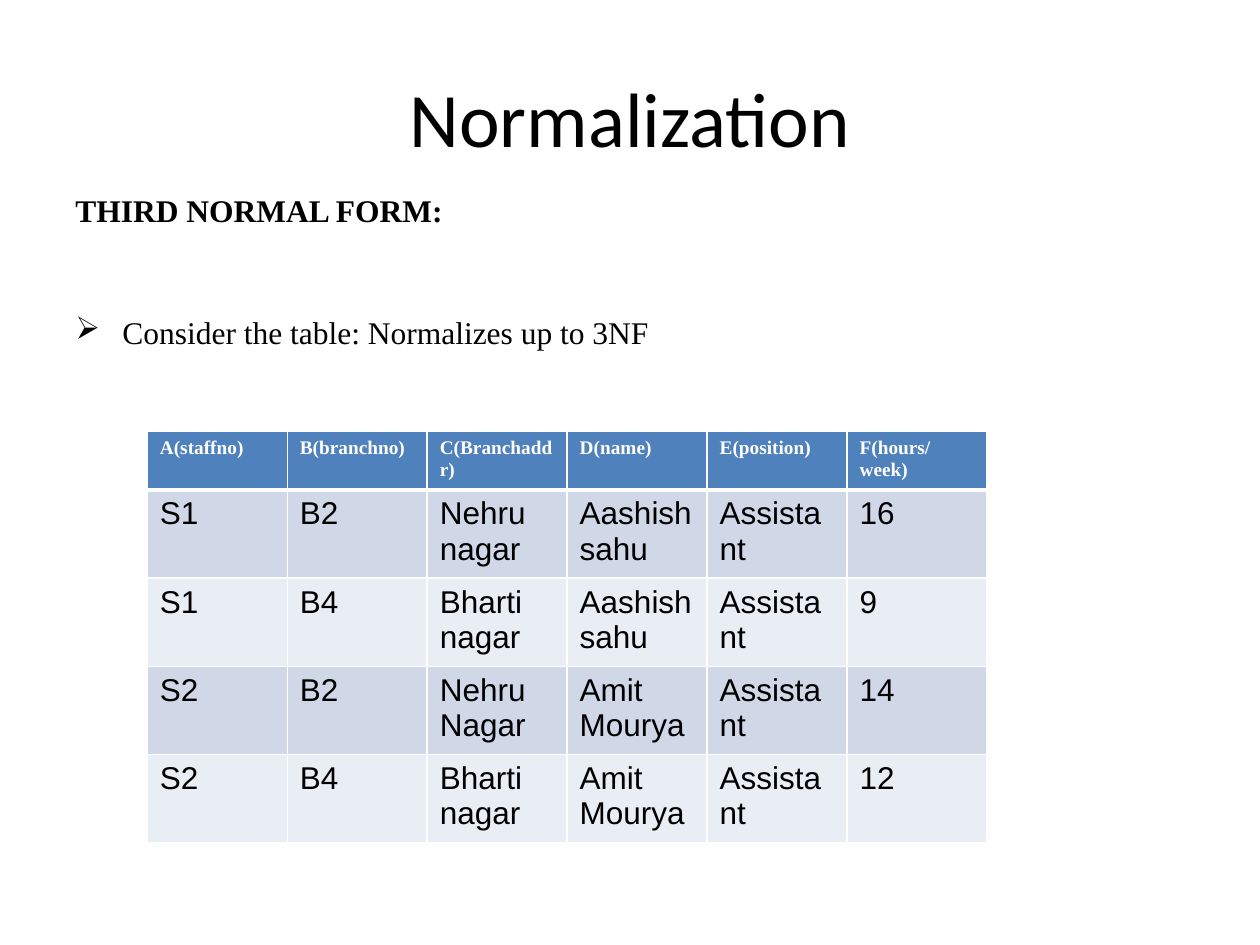
import pptx
import pptx.dml.color
import pptx.enum.text
import pptx.oxml
import pptx.oxml.ns
import pptx.util

Cm = pptx.util.Cm
Pt = pptx.util.Pt
COLORS = {
    "text": "000000",
    "white": "FFFFFF",
    "header": "4F81BD",
    "odd_row": "D0D8E8",
    "even_row": "E9EDF4",
}
ROWS = [
    ["A(staffno)", "B(branchno)", "C(Branchaddr)", "D(name)", "E(position)", "F(hours/week)"],
    ["S1", "B2", "Nehru nagar", "Aashish sahu", "Assistant", "16"],
    ["S1", "B4", "Bharti nagar", "Aashish sahu", "Assistant", "9"],
    ["S2", "B2", "Nehru Nagar", "Amit Mourya", "Assistant", "14"],
    ["S2", "B4", "Bharti nagar", "Amit Mourya", "Assistant", "12"],
]


def add_span(para, text, font, size, color="text", bold=False):
    span = para.add_run()
    span.text = text
    span.font.name = font
    span.font.size = Pt(size)
    span.font.bold = bold
    span.font.color.rgb = pptx.dml.color.RGBColor.from_string(COLORS[color])


def set_borders(cell, widths):
    """Draw white cell borders; widths are points for left, right, top, bottom."""
    properties = cell._tc.get_or_add_tcPr()
    for index, (side, width) in enumerate(zip("LRTB", widths)):
        border = pptx.oxml.parse_xml(
            f'<a:ln{side} {pptx.oxml.ns.nsdecls("a")} w="{Pt(width)}"><a:solidFill>'
            f'<a:srgbClr val="{COLORS["white"]}"/></a:solidFill></a:ln{side}>'
        )
        properties.insert(index, border)


deck = pptx.Presentation()
deck.slide_width = Cm(25.4)
deck.slide_height = Cm(19.05)
page = deck.slides.add_slide(deck.slide_layouts[6])

# Title
title = page.shapes.add_textbox(Cm(1.27), Cm(0.76), Cm(22.86), Cm(3.18)).text_frame
title.word_wrap = True
title.vertical_anchor = pptx.enum.text.MSO_ANCHOR.MIDDLE
title.paragraphs[0].alignment = pptx.enum.text.PP_ALIGN.CENTER
add_span(title.paragraphs[0], "Normalization", "Calibri", 44)

# Heading and bullet
body = page.shapes.add_textbox(Cm(1.27), Cm(3.72), Cm(23.29), Cm(4)).text_frame
body.word_wrap = True
add_span(body.paragraphs[0], "THIRD NORMAL FORM:", "Times New Roman", 18, bold=True)
bullet = body.add_paragraph()
bullet.space_before = Pt(48.4)
bullet_properties = bullet._p.get_or_add_pPr()
bullet_properties.set("marL", str(Cm(0.95)))
bullet_properties.set("indent", str(-Cm(0.95)))
bullet_properties.append(
    pptx.oxml.parse_xml(f'<a:buChar {pptx.oxml.ns.nsdecls("a")} char="➢"/>')
)
add_span(bullet, "Consider the table: Normalizes up to 3NF", "Times New Roman", 18)

# Staff table
frame = page.shapes.add_table(
    len(ROWS), len(ROWS[0]), Cm(2.97), Cm(8.69), Cm(16.93), Cm(8.31)
)
table = frame.table
for row_index, values in enumerate(ROWS):
    table.rows[row_index].height = Cm(1.04)
    is_header = row_index == 0
    if is_header:
        fill = "header"
    else:
        fill = "odd_row" if row_index % 2 else "even_row"
    for column_index, value in enumerate(values):
        cell = table.cell(row_index, column_index)
        cell.fill.solid()
        cell.fill.fore_color.rgb = pptx.dml.color.RGBColor.from_string(COLORS[fill])
        set_borders(cell, (1, 1, 3 if row_index == 1 else 1, 3 if is_header else 1))
        para = cell.text_frame.paragraphs[0]
        if is_header:
            add_span(para, value, "Times New Roman", 11, "white", bold=True)
        else:
            add_span(para, value, "Arial", 18)
frame.height = Cm(8.31)

deck.save("out.pptx")
